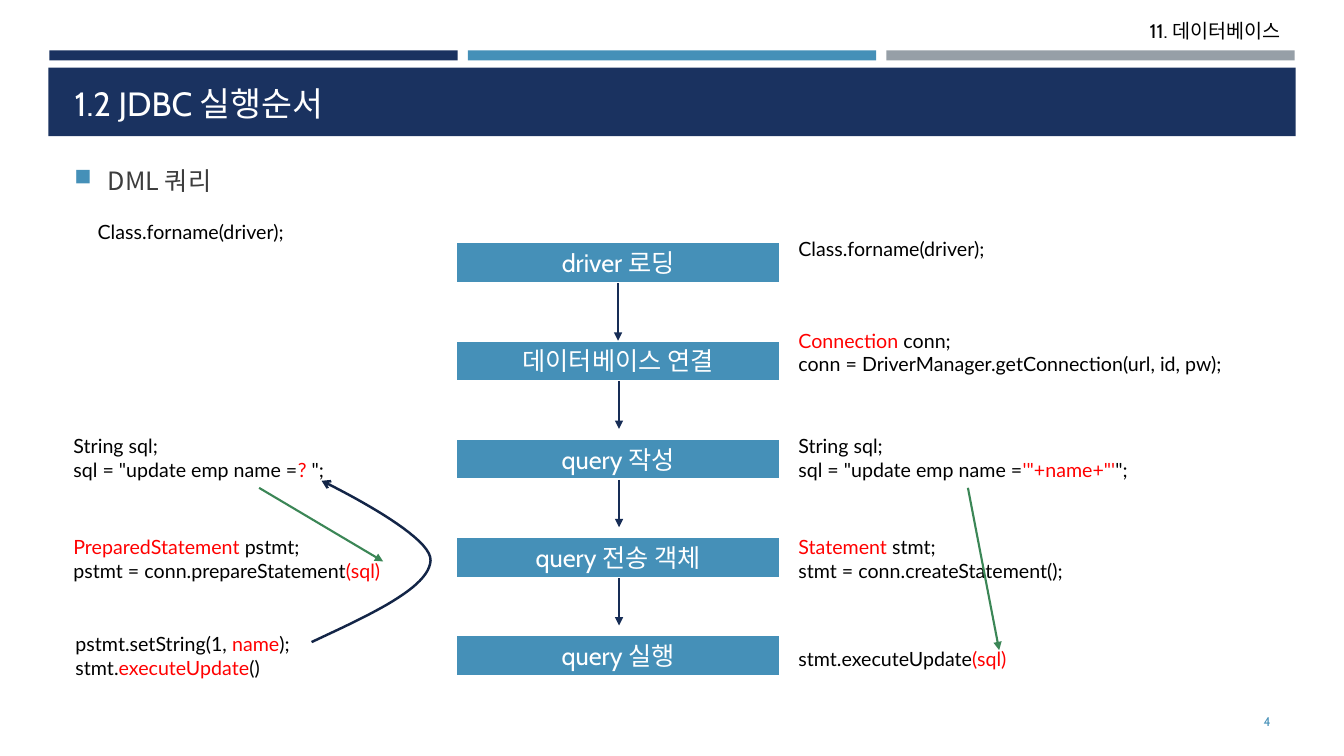
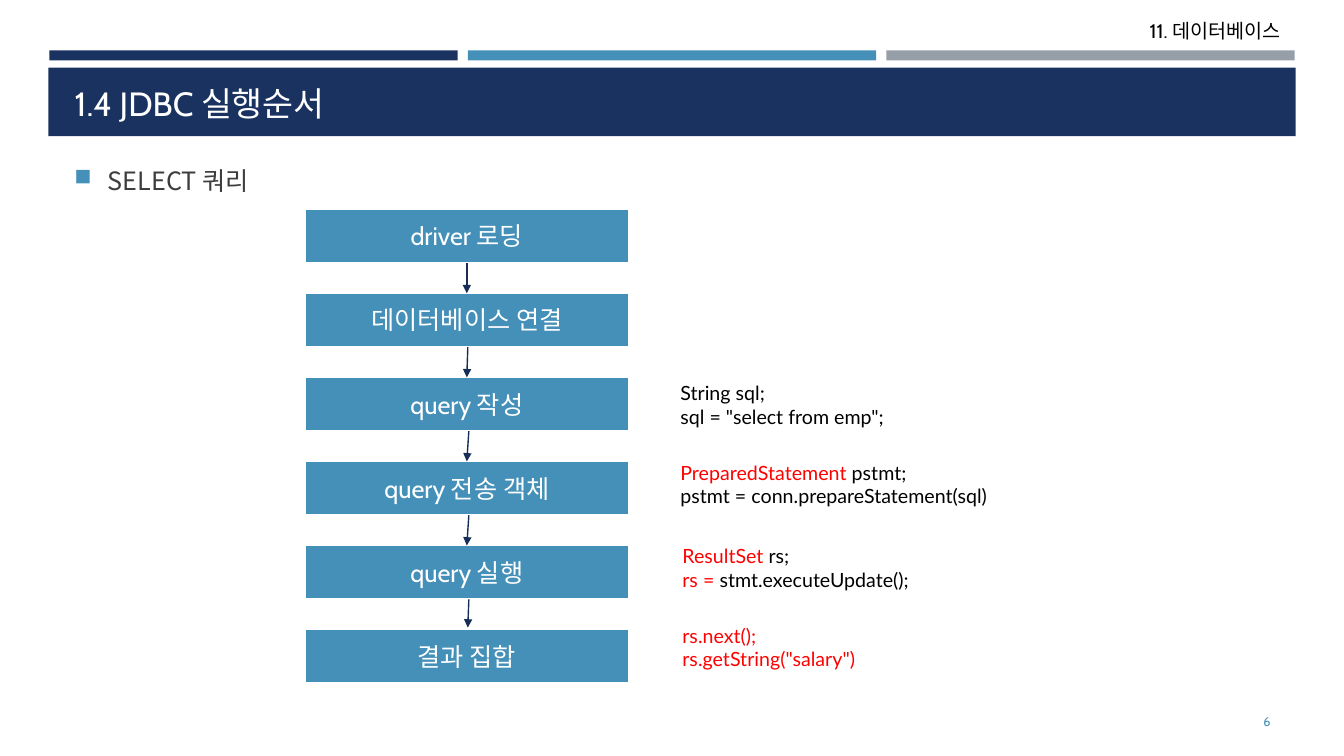
from lxml import etree
from pptx import Presentation
from pptx.dml.color import RGBColor
from pptx.enum.shapes import MSO_CONNECTOR, MSO_SHAPE
from pptx.enum.text import MSO_ANCHOR, MSO_AUTO_SIZE, PP_ALIGN
from pptx.oxml.ns import qn
from pptx.util import Inches, Pt

RECT = MSO_SHAPE.RECTANGLE
STRAIGHT = MSO_CONNECTOR.STRAIGHT
TOP, MID, LOW = MSO_ANCHOR.TOP, MSO_ANCHOR.MIDDLE, MSO_ANCHOR.BOTTOM
LEFT, MIDST, RIGHT = PP_ALIGN.LEFT, PP_ALIGN.CENTER, PP_ALIGN.RIGHT
FIXED = MSO_AUTO_SIZE.NONE

HUES = {
    "navy": "1A3260", "blue": "4590B8", "gray": "969FA7", "white": "FFFFFF",
    "black": "000000", "red": "FF0000", "text": "3D3D3D", "arrow": "172D56",
    "green": "3B8656", "curve": "132547",
}
HEAD, CODE, HANGUL = "Cabin", "Lato", "Noto Sans CJK KR"
STEPS = ["driver 로딩", "데이터베이스 연결", "query 작성", "query 전송 객체", "query 실행"]


def hue(name):
    return RGBColor.from_string(HUES[name])


def put(item, **vals):
    for key, val in vals.items():
        setattr(item, key, val)


def add_tag(node, tag, **vals):
    return etree.SubElement(node, qn(tag), vals)


def place(item, spot):
    put(item, **dict(zip(("left", "top", "width", "height"), map(Inches, spot))))


def write(frame, lines, size, font, color="black", align=LEFT, anchor=TOP):
    put(frame, word_wrap=True, auto_size=FIXED, vertical_anchor=anchor)
    for num, line in enumerate(lines):
        para = frame.add_paragraph() if num else frame.paragraphs[0]
        para.alignment = align
        for part, words in enumerate(line.split("|")):
            if not words:
                continue
            run = para.add_run()
            run.text = words
            put(run.font, size=Pt(size), name=font)
            run.font.color.rgb = hue("red" if part % 2 else color)
            add_tag(run.font._element, "a:ea", typeface=HANGUL)


def label(slide, spot, lines, size=14, font=CODE, **form):
    box = slide.shapes.add_textbox(*map(Inches, spot))
    write(box.text_frame, lines, size, font, **form)
    return box


def block(slide, spot, color):
    box = slide.shapes.add_shape(RECT, *map(Inches, spot))
    box.shadow.inherit = False
    box.fill.solid()
    box.fill.fore_color.rgb = hue(color)
    box.line.fill.background()
    return box


def step(slide, spot, words):
    box = block(slide, spot, "blue")
    box.line.color.rgb = hue("white")
    box.line.width = Pt(2)
    write(box.text_frame, [words], 18, HEAD, "white", MIDST, MID)


def point(item, color, width, head):
    item.line.color.rgb = hue(color)
    item.line.width = Pt(width)
    add_tag(item.element.spPr.find(qn("a:ln")), "a:tailEnd", type=head)


def arrow(slide, start, end, color="arrow", width=1):
    line = slide.shapes.add_connector(STRAIGHT, *map(Inches, start + end))
    point(line, color, width, "triangle")
    add_tag(line.element.spPr, "a:effectLst")


def bend(dots, count=24):
    for num in range(1, count + 1):
        t = num / count
        mix = ((1 - t) ** 3, 3 * t * (1 - t) ** 2, 3 * t * t * (1 - t), t ** 3)
        yield tuple(Inches(sum(m * d for m, d in zip(mix, axis))) for axis in zip(*dots))


def curve(slide, start, *bends):
    pen = slide.shapes.build_freeform(*map(Inches, start))
    for dots in bends:
        pen.add_line_segments(list(bend((start,) + dots)), close=False)
        start = dots[-1]
    path = pen.convert_to_shape()
    path.shadow.inherit = False
    path.fill.background()
    point(path, "curve", 1.75, "arrow")


def flow(slide, left, top, pitch, high, steps, links):
    for num, words in enumerate(steps):
        step(slide, (left, top + num * pitch, 3.22, high), words)
    for num, (start, end, size) in enumerate(links):
        base = top + num * pitch + high
        arrow(slide, (start, base), (end, base + size))


def dress(layout, slide):
    parts = [block(slide, (0.49 + 4.15 * num, 0.5, 4.05, 0.1), color)
             for num, color in enumerate(("navy", "blue", "gray"))]
    parts.append(block(slide, (0.48, 0.67, 12.37, 0.68), "navy"))
    parts.append(label(slide, (8.76, 0.14, 4.04, 0.34), ["11. 데이터베이스"],
                       font=HEAD, align=RIGHT))
    for num, part in enumerate(parts):
        layout.shapes.element.insert(2 + num, part.element)


def start(deck, title, topic, page):
    slide = deck.slides.add_slide(deck.slide_layouts[5])
    place(slide.shapes.title, (0.64, 0.72, 12.06, 0.55))
    write(slide.shapes.title.text_frame, [title], 24, HEAD, "white", anchor=LOW)
    body = label(slide, (0.64, 1.59, 12.06, 0.5), [topic], 18, HANGUL, color="text")
    para = body.text_frame.paragraphs[0]
    put(para, space_before=Pt(3.6), space_after=Pt(6))
    form = para._p.get_or_add_pPr()
    form.set("marL", str(Inches(0.33)))
    form.set("indent", str(Inches(-0.33)))
    add_tag(add_tag(form, "a:buClr"), "a:srgbClr", val=HUES["blue"])
    add_tag(form, "a:buSzPct", val="92000")
    add_tag(form, "a:buChar", char="■")
    label(slide, (11.55, 6.96, 1.15, 0.4), [page], 9, HEAD,
          color="blue", align=RIGHT, anchor=MID)
    return slide


def draw_update(slide):
    links = [(6.13, 6.13, 0.57)] + [(6.14, 6.14, 0.47)] * 3
    flow(slide, 4.52, 2.4, 0.975, 0.41, STEPS, links)
    notes = [
        ((7.82, 2.3, 2.36, 0.34), ["Class.forname(driver);"]),
        ((7.82, 3.21, 4.91, 0.57),
         ["|Connection| conn;", "conn = DriverManager.getConnection(url, id, pw);"]),
        ((7.82, 4.26, 3.86, 0.57),
         ["String sql;", "sql = \"update emp name =|'\"+name+\"'|\"; "]),
        ((7.82, 5.26, 3.15, 0.57),
         ["|Statement |stmt;", "stmt = conn.createStatement();"]),
        ((7.82, 6.37, 2.46, 0.34), ["stmt.executeUpdate|(sql)"]),
        ((0.87, 2.13, 2.36, 0.34), ["Class.forname(driver);"]),
        ((0.63, 4.26, 3.88, 0.57), ["String sql;", "sql = \"update emp name =|?| \"; "]),
        ((0.63, 5.26, 3.63, 0.57),
         ["|PreparedStatement |pstmt;", "pstmt = conn.prepareStatement|(sql)"]),
        ((0.65, 6.22, 3.02, 0.57),
         ["pstmt.setString(1, |name|);", "stmt.|executeUpdate|()"]),
    ]
    for spot, lines in notes:
        label(slide, spot, lines)
    arrow(slide, (2.57, 4.84), (3.8, 5.57), "green", 1.5)
    arrow(slide, (9.6, 4.84), (9.91, 6.45), "green", 1.5)
    curve(slide, (3.09, 6.37),
          ((3.67, 6.1), (4.26, 5.83), (4.27, 5.56)),
          ((4.29, 5.3), (3.19, 4.77), (3.19, 4.77)))


def draw_select(slide):
    links = [(4.63, 4.63, 0.3), (4.64, 4.63, 0.3), (4.65, 4.63, 0.3),
             (4.65, 4.63, 0.3), (4.65, 4.64, 0.28)]
    flow(slide, 3.02, 2.07, 0.834, 0.54, STEPS + ["결과 집합"], links)
    notes = [
        ((6.65, 3.73, 3.88, 0.57), ["String sql;", "sql = \"select from emp\"; "]),
        ((6.65, 4.52, 3.63, 0.57),
         ["|PreparedStatement |pstmt;", "pstmt = conn.prepareStatement(sql)"]),
        ((6.67, 5.35, 3.02, 0.57), ["|ResultSet| rs;", "|rs = |stmt.executeUpdate();"]),
        ((6.67, 6.14, 3.02, 0.57), ["|rs.next();", "|rs.getString(\"salary\")"]),
    ]
    for spot, lines in notes:
        label(slide, spot, lines)


def main():
    deck = Presentation()
    put(deck, slide_width=Inches(13.33), slide_height=Inches(7.5))
    first = start(deck, "1.2 JDBC 실행순서", "DML 쿼리", "4")
    dress(deck.slide_layouts[5], first)
    draw_update(first)
    draw_select(start(deck, "1.4 JDBC 실행순서", "SELECT 쿼리", "6"))
    deck.save("out.pptx")


main()
